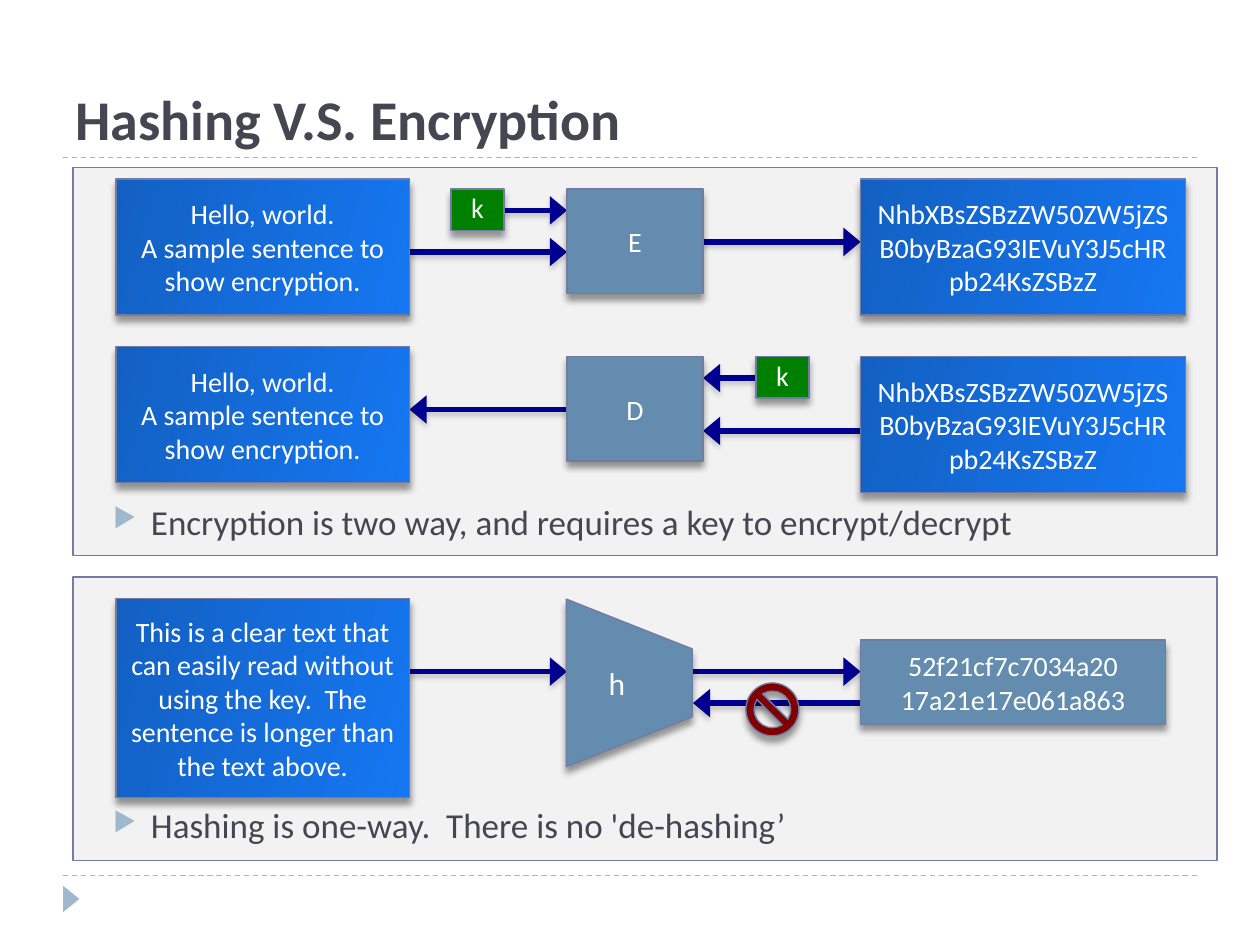
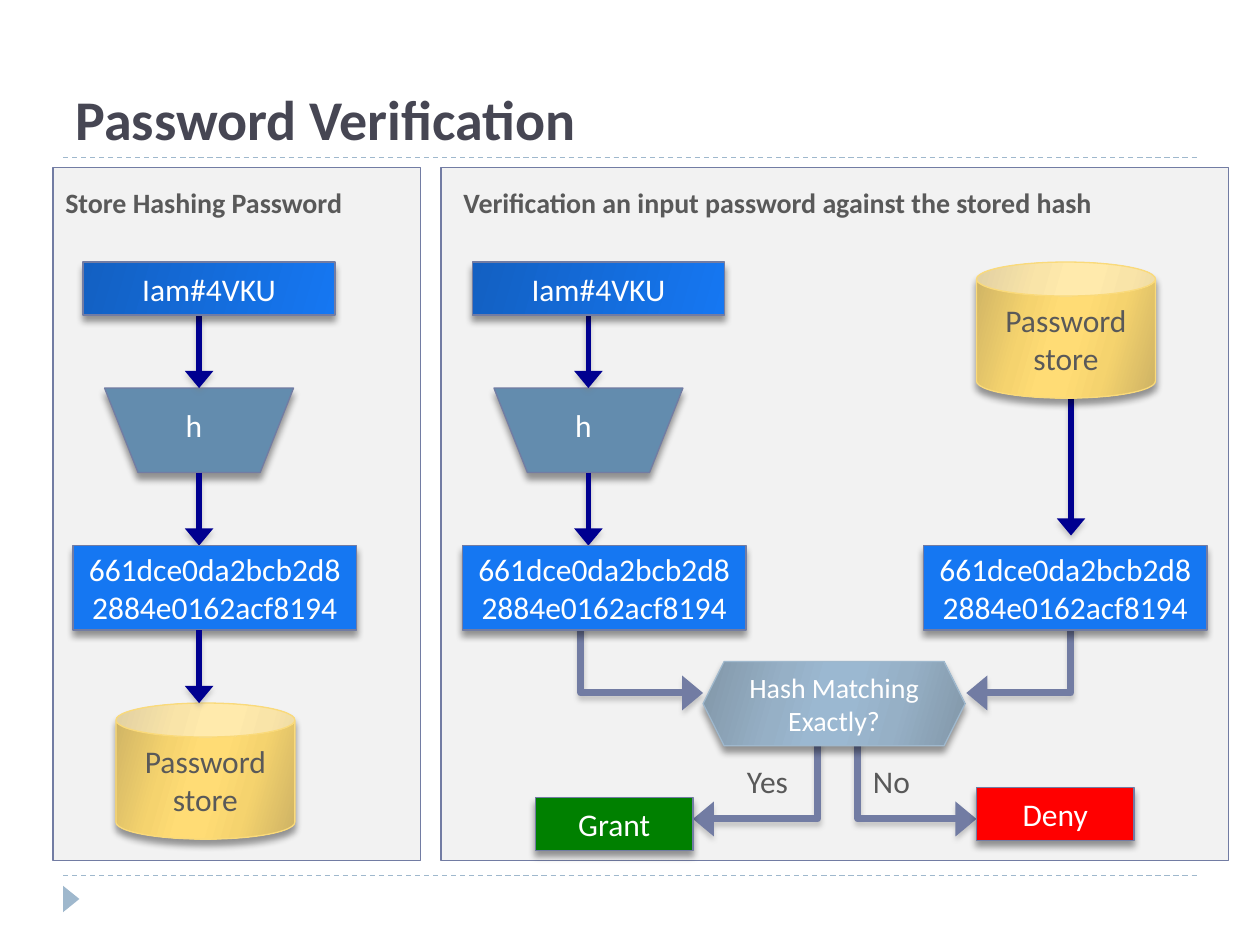
"""Build two slides on hashing, encryption and password verification."""
import dataclasses

import lxml.etree
import pptx
import pptx.dml.color
import pptx.enum.dml
import pptx.enum.shapes
import pptx.enum.text
import pptx.oxml.ns
import pptx.util

Inches = pptx.util.Inches
Pt = pptx.util.Pt
RGB = pptx.dml.color.RGBColor.from_string
qn = pptx.oxml.ns.qn
Kind = pptx.enum.shapes.MSO_SHAPE
Wire = pptx.enum.shapes.MSO_CONNECTOR
Align = pptx.enum.text.PP_ALIGN
Anchor = pptx.enum.text.MSO_ANCHOR


@dataclasses.dataclass(frozen=True)
class Theme:
    font: str = "Calibri"
    ink: str = "464653"
    caption: str = "595959"
    white: str = "FFFFFF"
    panel: str = "F2F2F2"
    edge: str = "727CA3"
    accent: str = "9FB8CD"
    arrow: str = "000090"
    steel: str = "638CAE"
    blue: str = "1577F2"
    green: str = "008000"
    red: str = "FF0000"
    maroon: str = "800000"
    gold_edge: str = "FADA7A"
    message: tuple = ((0, "1360C2"), (100, "1577F2"))
    gold: tuple = ((0, "CDB264"), (30, "F5D36E"), (45, "FFDC75"),
                   (55, "FFDC75"), (73, "F5D36E"), (100, "CDB264"))
    mist: tuple = ((0, "8297A8"), (30, "96B0C6"), (45, "9BB8D1"),
                   (55, "9BB8D1"), (73, "96B0C6"), (100, "8297A8"))
    gradient_angle: int = 344
    title_size: int = 32
    bullet_size: int = 20
    large: int = 18
    small: int = 16
    hairline: float = 0.75
    arrow_width: float = 3.25
    elbow_width: float = 4


def child(parent, tag, **attributes):
    return lxml.etree.SubElement(parent, qn(tag), attributes)


def add_shadow(effects, color, blur, distance):
    shadow = child(effects, "a:outerShdw", blurRad=str(Pt(blur)), dist=str(Pt(distance)),
                   dir="5400000", rotWithShape="0")
    child(child(shadow, "a:srgbClr", val=color), "a:alpha", val="40000")


class Deck:
    def __init__(self, theme):
        self.theme = theme
        self.show = pptx.Presentation()
        self.show.slide_width, self.show.slide_height = Inches(10), Inches(7.5)
        self.shapes = None

    def start(self, title):
        self.shapes = self.show.slides.add_slide(self.show.slide_layouts[6]).shapes
        for y in (6.95, 1.25):
            rule = self.line((0.5, y), (9.5, y), self.theme.accent, self.theme.hairline)
            rule.line.dash_style = pptx.enum.dml.MSO_LINE.DASH
        self.shape((0.46, 7.07, 0.21, 0.13), self.theme.accent, kind=Kind.ISOSCELES_TRIANGLE,
                   edge=None, shadow=False, rotation=90)
        self.text((0.5, 0.17, 9, 1.08), title, self.theme.title_size, self.theme.ink,
                  bold=True, anchor=Anchor.BOTTOM)

    def set_words(self, frame, words, size, color, align, anchor, bold=False):
        frame.word_wrap = True
        frame.vertical_anchor = anchor
        frame.text = words
        for paragraph in frame.paragraphs:
            paragraph.alignment = align
            for run in paragraph.runs:
                run.font.name, run.font.size, run.font.bold = self.theme.font, Pt(size), bold
                run.font.color.rgb = RGB(color)

    def text(self, box, words, size, color, bold=False, align=Align.LEFT, anchor=Anchor.TOP):
        frame = self.shapes.add_textbox(*map(Inches, box)).text_frame
        self.set_words(frame, words, size, color, align, anchor, bold)
        return frame

    def bullet(self, top, words):
        frame = self.text((0.5, top, 9, 0.5), words, self.theme.bullet_size, self.theme.ink)
        paragraph = frame.paragraphs[0]
        paragraph.space_before = Pt(5)
        properties = paragraph._p.get_or_add_pPr()
        properties.set("marL", str(Inches(0.6)))
        properties.set("indent", str(Inches(-0.3)))
        child(child(properties, "a:buClr"), "a:srgbClr", val=self.theme.accent)
        child(properties, "a:buSzPct", val="76000")
        child(properties, "a:buChar", char="▶")

    def paint(self, shape, fill):
        if isinstance(fill, str):
            shape.fill.solid()
            shape.fill.fore_color.rgb = RGB(fill)
            return
        shape.fill.gradient()
        shape.fill.gradient_angle = self.theme.gradient_angle
        stops = shape._element.spPr.find(qn("a:gradFill")).find(qn("a:gsLst"))
        for stop in list(stops):
            stops.remove(stop)
        for position, color in fill:
            child(child(stops, "a:gs", pos=str(position * 1000)), "a:srgbClr", val=color)

    def shape(self, box, fill, words="", size=Theme.small, color=Theme.white,
              kind=Kind.RECTANGLE, edge=Theme.edge, shadow=True, rotation=0, adjust=None,
              anchor=Anchor.MIDDLE):
        shape = self.shapes.add_shape(kind, *map(Inches, box))
        shape.rotation = rotation
        if adjust is not None:
            shape.adjustments[0] = adjust
        self.paint(shape, fill)
        if edge:
            shape.line.color.rgb = RGB(edge)
            shape.line.width = Pt(self.theme.hairline)
        else:
            shape.line.fill.background()
        shape.shadow.inherit = False
        if shadow:
            add_shadow(shape._element.spPr.find(qn("a:effectLst")), "000000", 4, 3.4)
        if words:
            self.set_words(shape.text_frame, words, size, color, Align.CENTER, anchor)
        return shape

    def panel(self, *box):
        self.shape(box, self.theme.panel, shadow=False)

    def key(self, left, top):
        self.shape((left, top, 0.42, 0.33), self.theme.green, "k", anchor=Anchor.BOTTOM)

    def trapezoid(self, box, rotation, words=""):
        return self.shape(box, self.theme.steel, words, self.theme.large, kind=Kind.TRAPEZOID,
                          rotation=rotation, adjust=0.396)

    def store(self, left, top):
        self.shape((left, top, 1.42, 1.08), self.theme.gold, "Password store", self.theme.large,
                   self.theme.caption, Kind.CAN, self.theme.gold_edge)

    def hash_value(self, left):
        self.shape((left, 4.33, 2.25, 0.67), self.theme.blue,
                   "661dce0da2bcb2d8\v2884e0162acf8194", self.theme.large)

    def line(self, start, end, color, width, kind=Wire.STRAIGHT):
        line = self.shapes.add_connector(kind, *map(Inches, start + end))
        line.line.color.rgb = RGB(color)
        line.line.width = Pt(width)
        child(line._element.spPr, "a:effectLst")
        return line

    def finish_arrow(self, line):
        properties = line._element.spPr
        child(properties.find(qn("a:ln")), "a:tailEnd", type="triangle", w="lg", len="med")
        add_shadow(properties.find(qn("a:effectLst")), "808080", 3, 2)

    def arrow(self, start, end):
        self.finish_arrow(self.line(start, end, self.theme.arrow, self.theme.arrow_width))

    def elbow(self, start, end):
        line = self.line(start, end, self.theme.edge, self.theme.elbow_width, Wire.ELBOW)
        geometry = line._element.spPr.find(qn("a:prstGeom"))
        guides = geometry.find(qn("a:avLst"))
        if guides is None:
            guides = child(geometry, "a:avLst")
        child(guides, "a:gd", name="adj1", fmla="val 0")
        self.finish_arrow(line)


def cipher_row(deck, letter, message_top, machine_top, cipher_top):
    deck.shape((0.92, message_top, 2.33, 1.08), deck.theme.message,
               "Hello, world.\nA sample sentence to show encryption.")
    deck.shape((4.5, machine_top, 1.08, 0.83), deck.theme.steel, letter)
    deck.shape((6.83, cipher_top, 2.58, 1.08), deck.theme.message,
               "NhbXBsZSBzZW50ZW5jZSB0byBzaG93IEVuY3J5cHRpb24KsZSBzZ")


def hashing_versus_encryption(deck):
    theme = deck.theme
    deck.start("Hashing V.S. Encryption")
    deck.panel(0.58, 4.58, 9.08, 2.25)
    deck.panel(0.58, 1.33, 9.08, 3.08)
    for start, end in (((3.25, 2), (4.5, 2)), ((5.58, 1.92), (6.83, 1.92)),
                       ((4, 1.67), (4.5, 1.67)), ((4.5, 3.25), (3.25, 3.25)),
                       ((6.83, 3.42), (5.58, 3.42)), ((6, 3), (5.58, 3)),
                       ((3.25, 5.33), (4.5, 5.33)), ((5.5, 5.33), (6.83, 5.33)),
                       ((6.83, 5.58), (5.5, 5.58))):
        deck.arrow(start, end)
    cipher_row(deck, "E", 1.42, 1.5, 1.42)
    deck.key(3.58, 1.5)
    cipher_row(deck, "D", 2.75, 2.83, 2.83)
    deck.key(6, 2.83)
    deck.bullet(3.92, "Encryption is two way, and requires a key to encrypt/decrypt")

    hasher = deck.trapezoid((4.33, 4.92, 1.33, 1), 90, "h")
    hasher.text_frame._txBody.bodyPr.set("vert", "vert270")
    deck.shape((6.83, 5.08, 2.42, 0.67), theme.steel, "52f21cf7c7034a20\v17a21e17e061a863")
    deck.shape((0.92, 4.75, 2.33, 1.58), theme.message,
               "This is a clear text that can easily read without using the key.  "
               "The sentence is longer than the text above.")
    deck.shape((5.92, 5.42, 0.42, 0.42), theme.maroon, kind=Kind.NO_SYMBOL, adjust=0.154)
    deck.bullet(6.33, "Hashing is one-way.  There is no 'de-hashing’")


def hashing_column(deck, left):
    middle = left + 1
    deck.trapezoid((left + 0.25, 3.08, 1.5, 0.67), 180)
    deck.arrow((middle, 2.5), (middle, 3.08))
    deck.arrow((middle, 3.75), (middle, 4.33))
    deck.shape((left + 0.08, 2.08, 2, 0.42), deck.theme.message, "Iam#4VKU", deck.theme.large)
    deck.text((left + 0.58, 3.17, 0.76, 0.4), "h", deck.theme.large, deck.theme.white,
              align=Align.CENTER)
    deck.hash_value(left)


def password_verification(deck):
    theme = deck.theme
    deck.start("Password Verification")
    deck.panel(0.42, 1.33, 2.92, 5.5)
    deck.text((0.42, 1.42, 2.8, 0.37), "Store Hashing Password", theme.small, theme.caption,
              bold=True)
    hashing_column(deck, 0.58)
    deck.store(0.92, 5.58)
    deck.arrow((1.58, 5), (1.58, 5.58))

    deck.panel(3.5, 1.33, 6.25, 5.5)
    deck.text((3.58, 1.42, 6.1, 0.37), "Verification an input password against the stored hash",
              theme.small, theme.caption, bold=True)
    for start, end in (((8.5, 4.67), (7.67, 5.5)), ((4.61, 4.67), (5.58, 5.5)),
                       ((6.49, 5.83), (5.5, 6.5)), ((6.81, 5.83), (7.75, 6.5))):
        deck.elbow(start, end)
    hashing_column(deck, 3.67)
    deck.hash_value(7.33)
    deck.arrow((8.5, 3.16), (8.5, 4.25))
    deck.store(7.75, 2.08)
    deck.shape((5.58, 5.25, 2.08, 0.67), theme.mist, "Hash Matching Exactly?",
               kind=Kind.HEXAGON, edge=theme.accent)
    deck.shape((4.25, 6.33, 1.25, 0.42), theme.green, "Grant", theme.large)
    deck.shape((7.75, 6.25, 1.25, 0.42), theme.red, "Deny", theme.large)
    for left, answer in ((5.83, "Yes"), (6.83, "No")):
        deck.text((left, 6, 0.65, 0.4), answer, theme.large, theme.caption)


def main():
    deck = Deck(Theme())
    hashing_versus_encryption(deck)
    password_verification(deck)
    deck.show.save("out.pptx")


if __name__ == "__main__":
    main()
